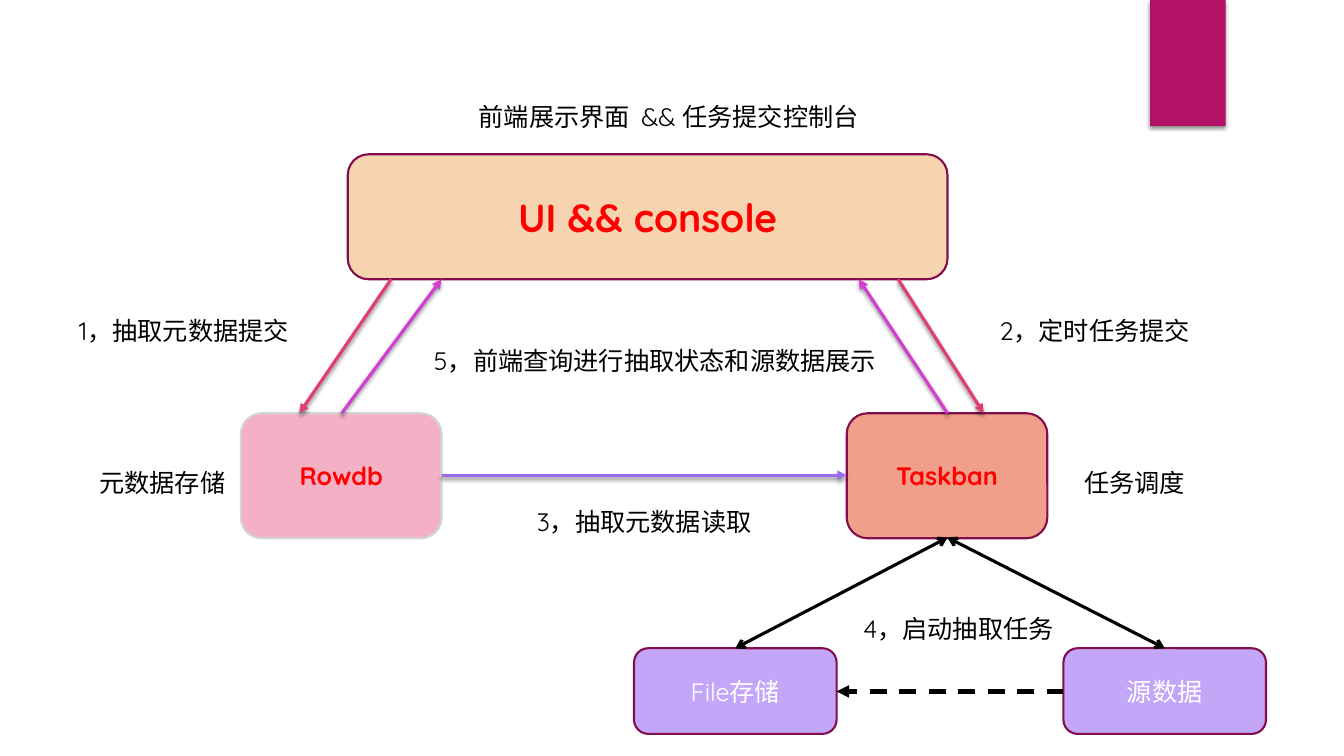
"""Builds the slide that shows how the console, scheduler and stores work together."""
import dataclasses
from typing import Any, Optional

import pptx
import pptx.dml.color
import pptx.enum.dml
import pptx.enum.shapes
import pptx.enum.text
import pptx.oxml
import pptx.oxml.ns
import pptx.util

Pt = pptx.util.Pt
SHAPE = pptx.enum.shapes.MSO_SHAPE
ANCHOR = pptx.enum.text.MSO_ANCHOR


@dataclasses.dataclass(frozen=True)
class Theme:
    font: str = "Quicksand"
    body: float = 18
    large: float = 28
    outline: float = 1.5
    stroke: float = 2.25
    heavy: float = 3
    black: str = "000000"
    white: str = "FFFFFF"
    red: str = "FF0000"
    tag: str = "B31166"
    border: str = "840D4B"
    grey: str = "D3D3D3"
    sand: str = "F6D4B0"
    coral: str = "EF9F8A"
    pink: str = "F4B1C5"
    lilac: str = "C3A6F7"
    submit: str = "E33D6F"
    query: str = "D53DD0"
    read: str = "9B6BF2"


THEME = Theme()


@dataclasses.dataclass(frozen=True)
class Box:
    text: str
    left: float
    top: float
    width: float
    height: float
    fill: str
    border: Optional[str] = THEME.border
    color: str = THEME.red
    size: float = THEME.body
    bold: bool = True
    kind: Any = SHAPE.ROUNDED_RECTANGLE
    shadow: bool = False


@dataclasses.dataclass(frozen=True)
class Label:
    text: str
    left: float
    top: float
    width: float


@dataclasses.dataclass(frozen=True)
class Arrow:
    x1: float
    y1: float
    x2: float
    y2: float
    color: str = THEME.black
    tail: str = "triangle"
    head: Optional[str] = None
    width: float = THEME.stroke
    dashed: bool = False
    shadow: bool = False


LABEL_HEIGHT = 28.8
UI_BOTTOM, NODE_TOP, NODE_MID, NODE_BOTTOM = 199.4, 295.2, 339.4, 384
STORE_TOP, STORE_MID = 463, 493.9
NODE_WIDTH, NODE_HEIGHT = 143.3, 89.3
STORE_WIDTH, STORE_HEIGHT = 144.7, 61.2
DB_LEFT, JOB_LEFT, FILES_LEFT, SOURCE_LEFT = 172.1, 604.8, 452.9, 759.6
JOB_MID = 676.8


def store(text: str, left: float) -> Box:
    """Describe one of the storage boxes at the bottom."""
    return Box(text, left, STORE_TOP, STORE_WIDTH, STORE_HEIGHT, THEME.lilac,
               color=THEME.white, bold=False, kind=SHAPE.FLOWCHART_ALTERNATE_PROCESS)


BOXES = [
    Box("", 821.5, 0, 54, 90, THEME.tag, border=None, kind=SHAPE.RECTANGLE, shadow=True),
    Box("UI && console", 248.4, 110.2, 428.4, NODE_HEIGHT, THEME.sand, size=THEME.large),
    Box("Taskban", JOB_LEFT, NODE_TOP, NODE_WIDTH, NODE_HEIGHT, THEME.coral),
    Box("Rowdb", DB_LEFT, NODE_TOP, NODE_WIDTH, NODE_HEIGHT, THEME.pink, border=THEME.grey),
    store("File存储", FILES_LEFT),
    store("源数据", SOURCE_LEFT),
]

ARROWS = [
    Arrow(244.1, NODE_TOP, 315.4, UI_BOTTOM, THEME.query, shadow=True),
    Arrow(279.4, UI_BOTTOM, 213.8, NODE_TOP, THEME.submit, shadow=True),
    Arrow(DB_LEFT + NODE_WIDTH, NODE_MID, JOB_LEFT, NODE_MID, THEME.read, shadow=True),
    Arrow(641.5, UI_BOTTOM, 702.7, NODE_TOP, THEME.submit, shadow=True),
    Arrow(JOB_MID, NODE_TOP, 613.4, UI_BOTTOM, THEME.query, shadow=True),
    Arrow(JOB_MID, NODE_BOTTOM, FILES_LEFT + STORE_WIDTH / 2, STORE_TOP, tail="arrow", head="arrow"),
    Arrow(JOB_MID, NODE_BOTTOM, SOURCE_LEFT + STORE_WIDTH / 2, STORE_TOP, tail="arrow", head="arrow"),
    Arrow(SOURCE_LEFT, STORE_MID, FILES_LEFT + STORE_WIDTH, STORE_MID, width=THEME.heavy, dashed=True),
]

HEADING = Label("前端展示界面  && 任务提交控制台", 324.7, 69.1, 306)
LABELS = [
    Label("元数据存储", 59.8, 330.5, 112.3),
    Label("任务调度", 759.6, 330.5, 101.5),
    Label("1，抽取元数据提交", 1.4, 221.8, 259.9),
    Label("2，定时任务提交", 702.7, 221.8, 158.4),
    Label("3，抽取元数据读取", 373, 357.8, 174.2),
    Label("4，启动抽取任务", 604.1, 434.2, 161.3),
    Label("5，前端查询进行抽取状态和源数据展示", 300.2, 243.4, 335.5),
]


def rgb(value: str) -> pptx.dml.color.RGBColor:
    """Turn a hex string into a colour."""
    return pptx.dml.color.RGBColor.from_string(value)


def set_effects(sp: Any, shadow: bool) -> None:
    """Give a shape the soft drop shadow, or none at all."""
    outer = (f'<a:outerShdw blurRad="{Pt(3)}" dist="{Pt(2)}" dir="5400000" rotWithShape="0">'
             f'<a:srgbClr val="{THEME.black}"><a:alpha val="45000"/></a:srgbClr></a:outerShdw>')
    xml = f'<a:effectLst {pptx.oxml.ns.nsdecls("a")}>{outer if shadow else ""}</a:effectLst>'
    sp.element.spPr.append(pptx.oxml.parse_xml(xml))


def write(sp: Any, text: str, color: str, size: float = THEME.body,
          bold: bool = False, anchor: Any = ANCHOR.TOP) -> None:
    """Put one centred paragraph into a shape."""
    tf = sp.text_frame
    tf.word_wrap = True
    tf.auto_size = pptx.enum.text.MSO_AUTO_SIZE.NONE
    tf.vertical_anchor = anchor
    p = tf.paragraphs[0]
    p.text = text
    p.alignment = pptx.enum.text.PP_ALIGN.CENTER
    p.font.name, p.font.size, p.font.bold = THEME.font, Pt(size), bold
    p.font.color.rgb = rgb(color)


def draw_box(shapes: Any, box: Box) -> None:
    """Draw a filled box with its text."""
    sp = shapes.add_shape(box.kind, Pt(box.left), Pt(box.top), Pt(box.width), Pt(box.height))
    sp.fill.solid()
    sp.fill.fore_color.rgb = rgb(box.fill)
    if box.border:
        sp.line.color.rgb = rgb(box.border)
        sp.line.width = Pt(THEME.outline)
    else:
        sp.line.fill.background()
    set_effects(sp, box.shadow)
    if box.text:
        write(sp, box.text, box.color, box.size, box.bold, ANCHOR.MIDDLE)


def draw_arrow(shapes: Any, arrow: Arrow) -> None:
    """Draw a straight connector with its arrowheads."""
    sp = shapes.add_connector(pptx.enum.shapes.MSO_CONNECTOR.STRAIGHT,
                              Pt(arrow.x1), Pt(arrow.y1), Pt(arrow.x2), Pt(arrow.y2))
    sp.line.color.rgb = rgb(arrow.color)
    sp.line.width = Pt(arrow.width)
    if arrow.dashed:
        sp.line.dash_style = pptx.enum.dml.MSO_LINE.DASH
    ln = sp.element.spPr.find(pptx.oxml.ns.qn("a:ln"))
    for tag, kind in (("headEnd", arrow.head), ("tailEnd", arrow.tail)):
        if kind:
            ln.append(pptx.oxml.parse_xml(f'<a:{tag} {pptx.oxml.ns.nsdecls("a")} type="{kind}"/>'))
    set_effects(sp, arrow.shadow)


def draw_label(shapes: Any, label: Label) -> None:
    """Draw a caption as a text box."""
    sp = shapes.add_textbox(Pt(label.left), Pt(label.top), Pt(label.width), Pt(LABEL_HEIGHT))
    write(sp, label.text, THEME.black)


def main() -> None:
    """Build and save the slide."""
    prs = pptx.Presentation()
    prs.slide_width, prs.slide_height = Pt(960), Pt(540)
    slide = prs.slides.add_slide(prs.slide_layouts.get_by_name("Title Only"))
    title = slide.shapes.title
    title.left, title.top = Pt(HEADING.left), Pt(HEADING.top)
    title.width, title.height = Pt(HEADING.width), Pt(LABEL_HEIGHT)
    write(title, HEADING.text, THEME.black)
    for box in BOXES:
        draw_box(slide.shapes, box)
    for arrow in ARROWS:
        draw_arrow(slide.shapes, arrow)
    for label in LABELS:
        draw_label(slide.shapes, label)
    prs.save("out.pptx")


if __name__ == "__main__":
    main()
